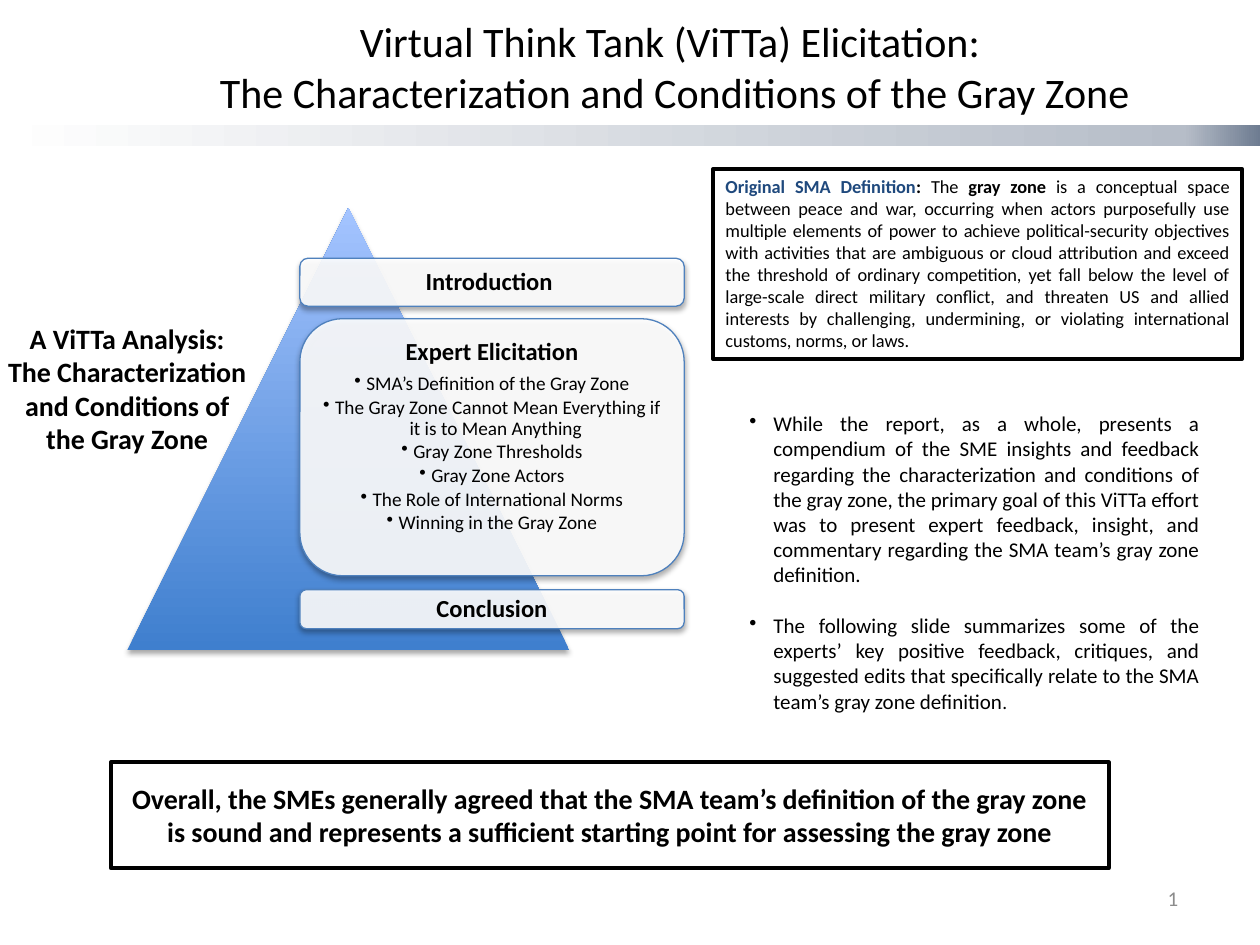
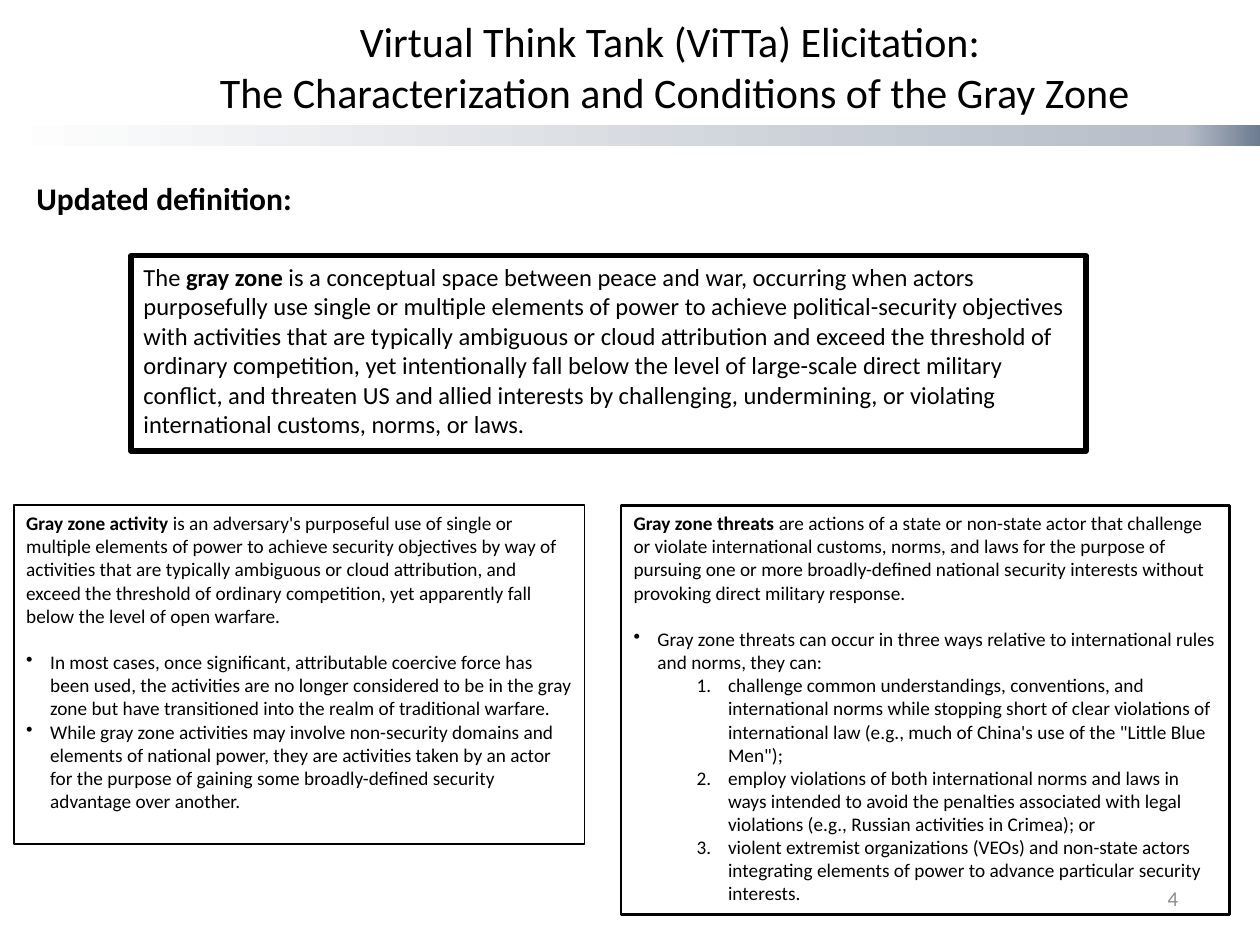
from lxml.etree import SubElement as Sub
from pptx import Presentation
from pptx.dml.color import RGBColor as RGB
from pptx.enum.shapes import MSO_SHAPE as Kind
from pptx.enum.text import MSO_ANCHOR as Anchor, PP_ALIGN as Align
from pptx.oxml.ns import qn
from pptx.util import Inches, Pt

# Shared look
HUES = {"black": "000000", "white": "FFFFFF", "navy": "1F497D",
        "edge": "4F81BD", "gray": "8C8C8C"}
FONT = "Calibri"
BAND = [(0, "FFFFFF"), (94, "B6BDC8"), (100, "6E7C91")]
PEAK = [(0, "3F7FCE"), (100, "A4C4FF")]
BULLET = {"mark": "•", "left": 0.19, "hang": 0.19}
NUMBER = {"mark": "1.", "left": 0.75, "hang": 0.25}
TIGHT = {"mark": "•", "left": 0.06, "hang": 0.06}
BOLD = {"bold": True}

# Content: a text is a list of (runs, paragraph format)
TITLE = ["Virtual Think Tank (ViTTa) Elicitation: ",
         "The Characterization and Conditions of the Gray Zone"]

TOPICS = ["SMA’s Definition of the Gray Zone",
          "The Gray Zone Cannot Mean Everything if it is to Mean Anything",
          "Gray Zone Thresholds", "Gray Zone Actors",
          "The Role of International Norms", "Winning in the Gray Zone"]

# Panels over the triangle: heading, topics, top, height
PANELS = [("Introduction ", [], 2.05, 0.38),
          ("Expert Elicitation", TOPICS, 2.53, 2.04),
          ("Conclusion", [], 4.68, 0.31)]

SIDE = [("A ViTTa Analysis:", {}),
        ("The Characterization and Conditions of the Gray Zone", {})]

FIRST = [([
    ("Original SMA Definition", {"bold": True, "hue": "navy"}),
    (": ", BOLD), ("The ", {}), ("gray zone", BOLD),
    (" is a conceptual space between peace and war, occurring when actors "
     "purposefully use multiple elements of power to achieve "
     "political-security objectives with activities that are ambiguous or "
     "cloud attribution and exceed the threshold of ordinary competition, "
     "yet fall below the level of large-scale direct military conflict, and "
     "threaten US and allied interests by challenging, undermining, or "
     "violating international customs, norms, or laws.", {})], {})]

GOALS = [
    ("While the report, as a whole, presents a compendium of the SME "
     "insights and feedback regarding the characterization and conditions "
     "of the gray zone, the primary goal of this ViTTa effort was to present "
     "expert feedback, insight, and commentary regarding the SMA team’s "
     "gray zone definition. ", BULLET),
    ([("The following slide summarizes some of the experts’ key positive "
       "feedback, critiques, and suggested edits that specifically relate to "
       "the SMA team’s gray zone definition", {}), (".", {"size": 11})],
     {**BULLET, "before": 14.6})]

RESULT = [("Overall, the SMEs generally agreed that the SMA team’s "
           "definition of the gray zone is sound and represents a sufficient "
           "starting point for assessing the gray zone", {})]

UPDATE = [([
    ("The ", {}), ("gray zone", BOLD),
    (" is a conceptual space between peace and war, occurring when actors "
     "purposefully use single or multiple elements of power to achieve "
     "political-security objectives with activities that are typically "
     "ambiguous or cloud attribution and exceed the threshold of ordinary "
     "competition, yet intentionally fall below the level of large-scale "
     "direct military conflict, and threaten US and allied interests by "
     "challenging, undermining, or violating international customs, norms, "
     "or laws.", {})], {})]

ACTS = [
    ([("Gray zone activity", BOLD),
      (" is an adversary's purposeful use of single or multiple elements of "
       "power to achieve security objectives by way of activities that are "
       "typically ambiguous or cloud attribution, and exceed the threshold "
       "of ordinary competition, yet apparently fall below the level of open "
       "warfare.", {})], {"after": 13.4}),
    ("In most cases, once significant, attributable coercive force has been "
     "used, the activities are no longer considered to be in the gray zone "
     "but have transitioned into the realm of traditional warfare.", BULLET),
    ("While gray zone activities may involve non-security domains and "
     "elements of national power, they are activities taken by an actor for "
     "the purpose of gaining some broadly-defined security advantage over "
     "another.", BULLET)]

THREATS = [
    ([("Gray zone threats", BOLD),
      (" are actions of a state or non-state actor that challenge or violate "
       "international customs, norms, and laws for the purpose of pursuing "
       "one or more broadly-defined national security interests without "
       "provoking direct military response.", {})], {"after": 13.4}),
    ("Gray zone threats can occur in three ways relative to international "
     "rules and norms, they can:", BULLET),
    ("challenge common understandings, conventions, and international norms "
     "while stopping short of clear violations of international law (e.g., "
     "much of China's use of the \"Little Blue Men\");", NUMBER),
    ("employ violations of both international norms and laws in ways intended "
     "to avoid the penalties associated with legal violations (e.g., Russian "
     "activities in Crimea); or ", NUMBER),
    ("violent extremist organizations (VEOs) and non-state actors integrating "
     "elements of power to advance particular security interests.", NUMBER)]


# Helpers
def tint(name):
    return RGB.from_string(HUES[name])


def mark(par, sign, left, hang):
    prop = par._p.get_or_add_pPr()
    prop.set("marL", str(Inches(left)))
    prop.set("indent", str(-Inches(hang)))
    if sign == "1.":
        Sub(prop, qn("a:buAutoNum"), type="arabicPeriod")
    else:
        Sub(prop, qn("a:buChar"), char=sign)


def write(shape, text, size, align=Align.LEFT, anchor=Anchor.TOP, bold=False,
          hue="black", wrap=True, pad=(0.1, 0.05, 0.1, 0.05)):
    frame = shape.text_frame
    frame.word_wrap, frame.vertical_anchor = wrap, anchor
    for side, gap in zip(("left", "top", "right", "bottom"), pad):
        setattr(frame, "margin_" + side, Inches(gap))
    for num, (runs, form) in enumerate(text):
        par = frame.add_paragraph() if num else frame.paragraphs[0]
        look = {"alignment": align, "line_spacing": form.get("lines"),
                "space_before": Pt(form.get("before", 0)),
                "space_after": Pt(form.get("after", 0))}
        for key, val in look.items():
            setattr(par, key, val)
        if "mark" in form:
            mark(par, form["mark"], form["left"], form["hang"])
        for words, own in [(runs, {})] if isinstance(runs, str) else runs:
            run = par.add_run()
            run.text = words
            base = {"size": form.get("size", size),
                    "bold": form.get("bold", bold), "hue": hue, **own}
            style = {"name": FONT, "size": Pt(base["size"]),
                     "bold": base["bold"]}
            for key, val in style.items():
                setattr(run.font, key, val)
            run.font.color.rgb = tint(base["hue"])


def label(slide, at, text, size, **form):
    write(slide.shapes.add_textbox(*map(Inches, at)), text, size, **form)


def draw(slide, kind, at, edge=None, wide=0):
    shape = slide.shapes.add_shape(kind, *map(Inches, at))
    shape.fill.background()
    if edge:
        shape.line.color.rgb = tint(edge)
        shape.line.width = Pt(wide)
    else:
        shape.line.fill.background()
    shape.shadow.inherit = False
    return shape


def frame(slide, at, wide, text, size, **form):
    write(draw(slide, Kind.RECTANGLE, at, "black", wide), text, size, **form)


def blend(shape, stops, angle):
    prop = shape._element.spPr
    grad = prop.makeelement(qn("a:gradFill"), {"rotWithShape": "1"})
    prop.replace(prop.find(qn("a:noFill")), grad)
    row = Sub(grad, qn("a:gsLst"))
    for pos, hue in stops:
        stop = Sub(row, qn("a:gs"), pos=str(pos * 1000))
        Sub(stop, qn("a:srgbClr"), val=hue)
    Sub(grad, qn("a:lin"), ang=str(angle * 60000), scaled="0")


def shade(shape):
    cast = Sub(shape._element.spPr.find(qn("a:effectLst")),
               qn("a:outerShdw"), blurRad=str(Pt(3.1)), dist=str(Pt(1.8)),
               dir="5400000", rotWithShape="0")
    hue = Sub(cast, qn("a:srgbClr"), val=HUES["black"])
    Sub(hue, qn("a:alpha"), val="35000")


def panel(slide, head, topics, top, high, left=2.38, wide=3.05):
    card = draw(slide, Kind.ROUNDED_RECTANGLE, (left, top, wide, high),
                "edge", 0.75)
    card.fill.solid()
    card.fill.fore_color.rgb = tint("white")
    hue = card._element.spPr.find(qn("a:solidFill"))[0]
    Sub(hue, qn("a:alpha"), val="90000")
    shade(card)
    text = [(head, {"lines": 0.9, "after": 4.9, "bold": True})]
    text += [(" " + item, {**TIGHT, "lines": 0.9, "after": 1.65, "size": 11})
             for item in topics]
    gap = 0.049 * high  # keeps text inside the round corners
    label(slide, (left + gap, top + gap, wide - 2 * gap, high - 2 * gap),
          text, 14, align=Align.CENTER, pad=(0.06,) * 4,
          anchor=Anchor.TOP if topics else Anchor.MIDDLE)


def start(deck, page):
    slide = deck.slides.add_slide(deck.slide_layouts[6])
    blend(draw(slide, Kind.RECTANGLE, (0, 0.99, 10, 0.17)), BAND, 0)
    label(slide, (1.21, 0.1, 8.29, 0.85), [(line, {}) for line in TITLE], 24,
          align=Align.CENTER, anchor=Anchor.MIDDLE)
    label(slide, (7.12, 6.93, 2.33, 0.4), [(page, {})], 12,
          align=Align.RIGHT, anchor=Anchor.MIDDLE, hue="gray")
    return slide


deck = Presentation()
deck.slide_width, deck.slide_height = Inches(10), Inches(7.5)

# Slide 1: outline of the analysis
slide = start(deck, "1")
peak = draw(slide, Kind.ISOSCELES_TRIANGLE, (1.01, 1.65, 3.51, 3.51))
blend(peak, PEAK, 270)
shade(peak)
for part in PANELS:
    panel(slide, *part)
frame(slide, (5.66, 1.34, 4.2, 1.51), 2, FIRST, 10.5, align=Align.JUSTIFY)
label(slide, (5.85, 3.21, 3.77, 2.52), GOALS, 12, align=Align.JUSTIFY)
label(slide, (-0.04, 2.5, 2.1, 1.18), SIDE, 16, align=Align.CENTER, bold=True)
frame(slide, (0.88, 6.05, 7.92, 0.84), 2.25, RESULT, 16, align=Align.CENTER,
      bold=True, pad=(0.1, 0.15, 0.1, 0.05))

# Slide 2: updated definition
slide = start(deck, "4")
frame(slide, (1.04, 2.03, 7.58, 1.55), 3, UPDATE, 14)
label(slide, (0.19, 1.37, 2.25, 0.4), [("Updated definition:", {})], 18,
      bold=True, wrap=False)
frame(slide, (0.11, 4.01, 4.53, 2.69), 1, ACTS, 11)
frame(slide, (4.93, 4.01, 4.83, 3.25), 1.5, THREATS, 11)

deck.save("out.pptx")
